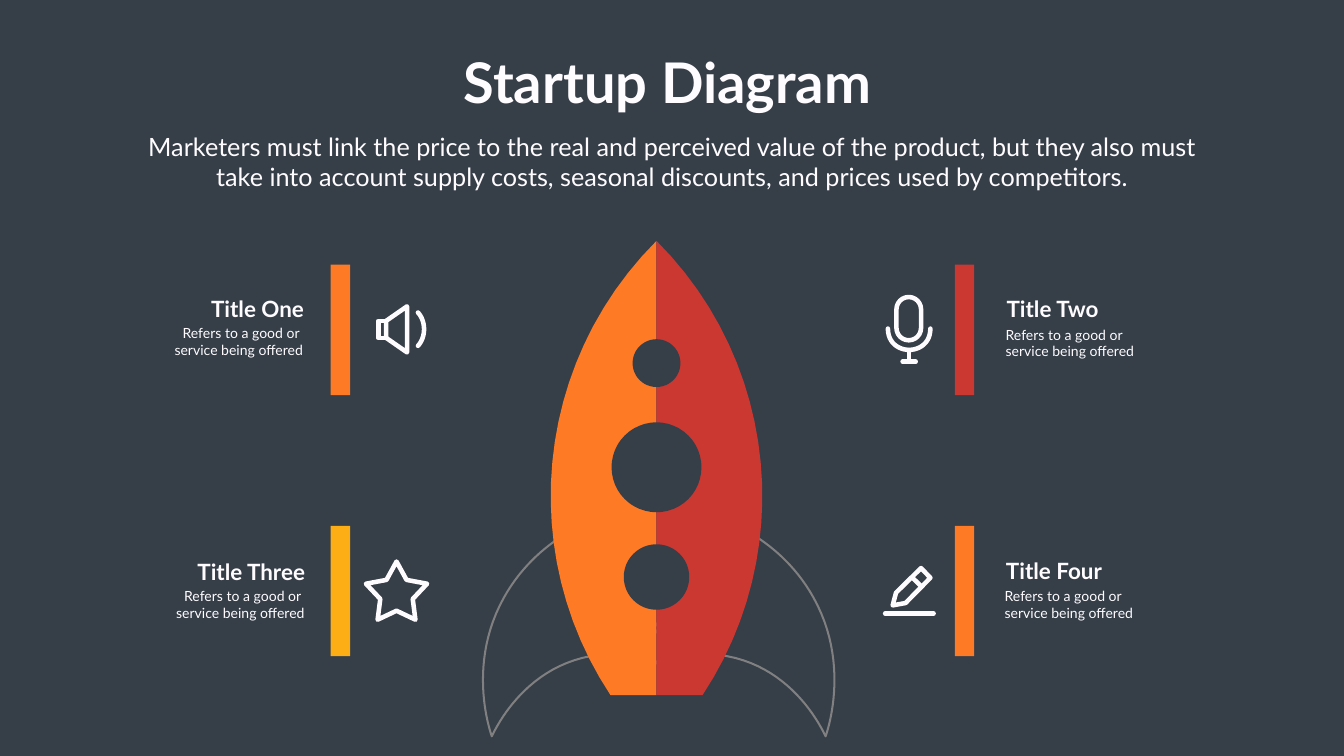
"""Build the startup diagram slide with a rocket and four titled notes."""

import math
from dataclasses import dataclass
from typing import Optional

import lxml.etree
import pptx
import pptx.dml.color
import pptx.enum.shapes
import pptx.enum.text
import pptx.oxml.ns
import pptx.util

Cm = pptx.util.Cm
RGBColor = pptx.dml.color.RGBColor
Kind = pptx.enum.shapes.MSO_SHAPE
Align = pptx.enum.text.PP_ALIGN
Point = tuple[float, float]

SLATE = RGBColor(0x36, 0x3E, 0x48)
WHITE = RGBColor(0xFE, 0xFC, 0xFF)
ORANGE = RGBColor(0xFF, 0x7A, 0x24)
RED = RGBColor(0xCB, 0x38, 0x32)
AMBER = RGBColor(0xFE, 0xAE, 0x15)
GRAY = RGBColor(0x80, 0x80, 0x80)

FONT = "Lato"
AXIS = 33.08
FIN_AXIS = 33.19
STROKE = 6.5


@dataclass
class Note:
    title: str
    body: str
    head: tuple[float, float, float]
    text: Point
    bar: Point
    color: RGBColor
    align: Optional[Align]


@dataclass
class Port:
    y: float
    size: float


NOTES = [
    Note("Title One", "Refers to a good or \nservice being offered",
         (10.31, 14.73, 5.26), (8.48, 16.23), (16.66, 13.34), ORANGE, Align.RIGHT),
    Note("Title Two", "Refers to a good or\nservice being offered",
         (50.47, 14.76, 5.33), (50.42, 16.31), (48.11, 13.34), RED, None),
    Note("Title Three", "Refers to a good or \nservice being offered",
         (8.71, 27.99, 6.91), (8.56, 29.49), (16.66, 26.5), AMBER, Align.RIGHT),
    Note("Title Four", "Refers to a good or\nservice being offered",
         (50.44, 27.94, 5.94), (50.37, 29.49), (48.11, 26.5), ORANGE, None),
]
PORTS = [Port(18.3, 2.41), Port(23.55, 4.53), Port(29.08, 3.3)]
HULL = [(0, 12.14), (6.22, 18.36), (7, 27.97), (2.32, 35.03)]
FIN = [(-1.65, 34.26), (-1.3, 33.99), (0.76, 32.56), (3.45, 33.07),
       (6.88, 33.71), (8.28, 36.86), (8.41, 37.11),
       (8.59, 36.58), (9.6, 33.35), (7.8, 30.12),
       (6.38, 27.56), (4.09, 26.54), (3.4, 26.26)]


def curve(knots: list[Point], steps: int = 24) -> list[Point]:
    """Sample a chain of cubic curves."""
    points = [knots[0]]
    for i in range(0, len(knots) - 1, 3):
        for k in range(1, steps + 1):
            t = k / steps
            rates = ((1 - t) ** 3, 3 * t * (1 - t) ** 2, 3 * t * t * (1 - t), t ** 3)
            points.append(tuple(sum(r * p[a] for r, p in zip(rates, knots[i:i + 4]))
                                for a in (0, 1)))
    return points


def flip(points: list[Point], axis: float, side: int) -> list[Point]:
    """Place offsets on one side of a vertical axis."""
    return [(axis + side * x, y) for x, y in points]


def style(shape, fill: Optional[RGBColor], line: Optional[RGBColor] = None,
          width: float = STROKE) -> None:
    """Set fill and outline, without a shadow."""
    shape.shadow.inherit = False
    if fill is None:
        shape.fill.background()
    else:
        shape.fill.solid()
        shape.fill.fore_color.rgb = fill
    if line is None:
        shape.line.fill.background()
    else:
        ink(shape, line, width)


def ink(shape, color: RGBColor, width: float) -> None:
    """Draw a line with round ends and joins."""
    shape.line.color.rgb = color
    shape.line.width = pptx.util.Pt(width)
    node = shape.line._get_or_add_ln()
    node.set("cap", "rnd")
    lxml.etree.SubElement(node, pptx.oxml.ns.qn("a:round"))


def path(slide, points: list[Point], fill: Optional[RGBColor] = None,
         line: Optional[RGBColor] = None, width: float = STROKE, close: bool = True) -> None:
    """Draw a freeform through points in centimetres."""
    spots = [(Cm(x), Cm(y)) for x, y in points]
    pen = slide.shapes.build_freeform(*spots[0])
    pen.add_line_segments(spots[1:], close=close)
    style(pen.convert_to_shape(), fill, line, width)


def block(slide, kind: Kind, x: float, y: float, w: float, h: float,
          fill: Optional[RGBColor], line: Optional[RGBColor] = None):
    """Draw a preset shape."""
    shape = slide.shapes.add_shape(kind, Cm(x), Cm(y), Cm(w), Cm(h))
    style(shape, fill, line)
    return shape


def stick(slide, x1: float, y1: float, x2: float, y2: float) -> None:
    """Draw a straight icon stroke."""
    line = slide.shapes.add_connector(pptx.enum.shapes.MSO_CONNECTOR.STRAIGHT,
                                      Cm(x1), Cm(y1), Cm(x2), Cm(y2))
    ink(line, WHITE, STROKE)
    lxml.etree.SubElement(line._element.spPr, pptx.oxml.ns.qn("a:effectLst"))


def write(slide, text: str, x: float, y: float, w: float, h: float, size: float,
          bold: bool = False, align: Optional[Align] = None, wrap: bool = True) -> None:
    """Add a text box."""
    frame = slide.shapes.add_textbox(Cm(x), Cm(y), Cm(w), Cm(h)).text_frame
    frame.word_wrap = wrap
    frame.auto_size = pptx.enum.text.MSO_AUTO_SIZE.SHAPE_TO_FIT_TEXT
    frame.text = text
    for para in frame.paragraphs:
        para.alignment = align
        for run in para.runs:
            run.font.name = FONT
            run.font.size = pptx.util.Pt(size)
            run.font.bold = bold
            run.font.color.rgb = WHITE


def rocket(slide) -> None:
    """Draw fins, hull and ports."""
    for side in (1, -1):
        path(slide, flip(curve(FIN), FIN_AXIS, side), line=GRAY, width=2.89)
    for side, color in ((-1, ORANGE), (1, RED)):
        path(slide, flip(curve(HULL) + [(0, 35.03)], AXIS, side), color)
    for port in PORTS:
        block(slide, Kind.OVAL, AXIS - port.size / 2, port.y - port.size / 2,
              port.size, port.size, SLATE)


def icons(slide) -> None:
    """Draw the speaker, microphone, star and pencil."""
    block(slide, Kind.RECTANGLE, 19.06, 16.17, 0.4, 0.86, None, WHITE)
    path(slide, [(19.46, 16.17), (20.51, 15.44), (20.51, 17.76), (19.46, 17.03)], line=WHITE)
    wave = [(21.06, 15.75), (21.47, 16.2), (21.47, 16.98), (21.06, 17.43)]
    path(slide, curve(wave), line=WHITE, close=False)

    block(slide, Kind.ROUNDED_RECTANGLE, 45.17, 14.97, 1.24, 2.18, None, WHITE).adjustments[0] = 0.5
    cradle = [(44.74, 16.56), (44.74, 17.99), (46.88, 17.99), (46.88, 16.56)]
    path(slide, curve(cradle), line=WHITE, close=False)
    stick(slide, 45.81, 17.64, 45.81, 18.23)
    stick(slide, 45.48, 18.23, 46.14, 18.23)

    star = []
    for k in range(10):
        reach, turn = (0.86 if k % 2 else 1.62), math.radians(36 * k)
        star.append((19.98 + reach * math.sin(turn), 29.92 - reach * math.cos(turn)))
    path(slide, star, line=WHITE)

    path(slide, [(44.98, 30.51), (45.15, 29.87), (46.41, 28.63), (46.88, 29.12),
                 (45.63, 30.39)], line=WHITE)
    stick(slide, 46.02, 29.16, 46.37, 29.5)
    stick(slide, 44.6, 30.92, 47.04, 30.92)


def main() -> None:
    """Build and save the deck."""
    deck = pptx.Presentation()
    deck.slide_width, deck.slide_height = Cm(67.72), Cm(38.1)
    slide = deck.slides.add_slide(deck.slide_layouts[6])
    slide.background.fill.solid()
    slide.background.fill.fore_color.rgb = SLATE
    rocket(slide)
    for note in NOTES:
        block(slide, Kind.RECTANGLE, *note.bar, 0.98, 6.57, note.color)
    icons(slide)
    write(slide, "Startup Diagram", 23.11, 2.29, 21.51, 3.68, 80, bold=True, wrap=False)
    write(slide, "Marketers must link the price to the real and perceived value of the product, "
          "but they also must take into account supply costs, seasonal discounts, "
          "and prices used by competitors.", 6.81, 6.5, 54.1, 3.33, 36, align=Align.CENTER)
    for note in NOTES:
        write(slide, note.title, *note.head, 1.63, 32, bold=True, align=note.align)
        write(slide, note.body, *note.text, 7.04, 1.96, 20, align=note.align)
    deck.save("out.pptx")


if __name__ == "__main__":
    main()
